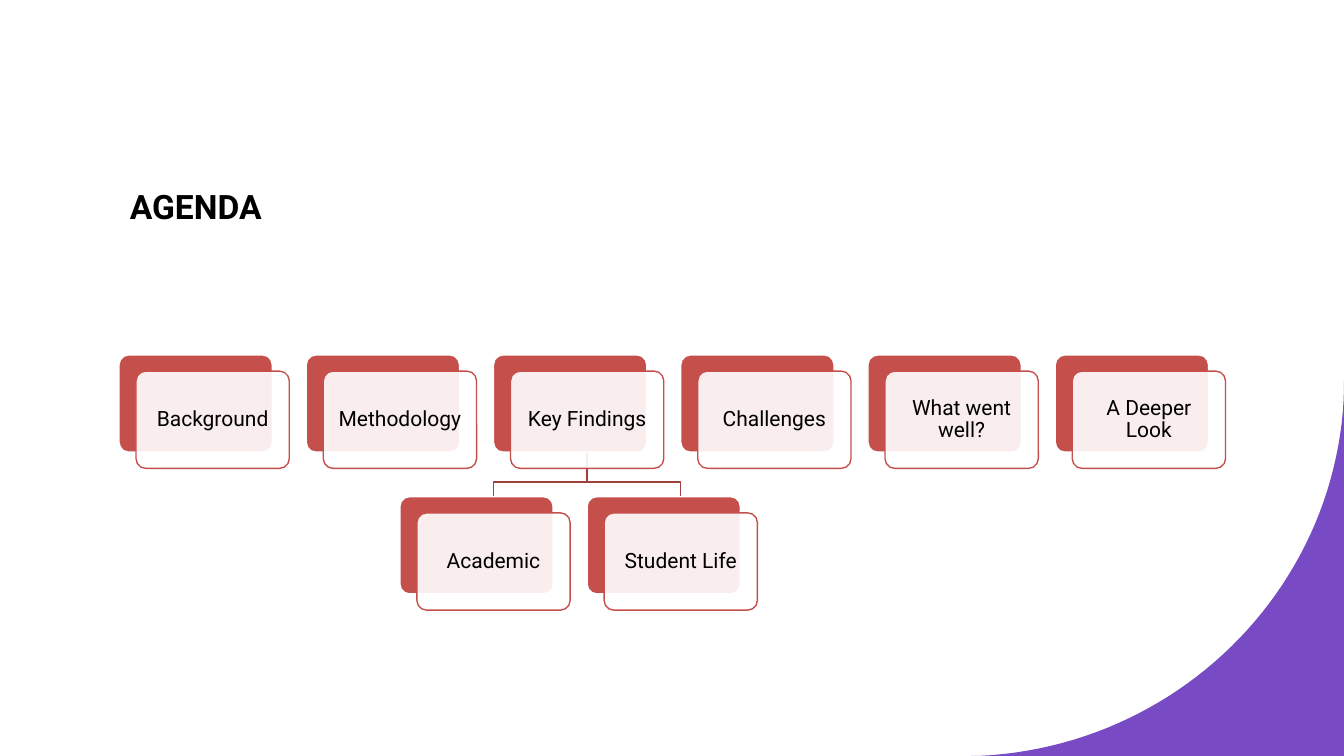
from dataclasses import dataclass

from lxml.etree import SubElement
from pptx import Presentation
from pptx.dml.color import RGBColor
from pptx.enum.shapes import MSO_SHAPE as Shape
from pptx.enum.text import MSO_ANCHOR as Anchor, PP_ALIGN as Align
from pptx.oxml.ns import qn
from pptx.util import Pt

WHITE = RGBColor(0xFF, 0xFF, 0xFF)
BLACK = RGBColor(0x00, 0x00, 0x00)
RED = RGBColor(0xC5, 0x4F, 0x4B)
DARK_RED = RGBColor(0x9E, 0x3F, 0x3C)
PURPLE = RGBColor(0x78, 0x4B, 0xC5)

# Card grid, in points
LEFT, PITCH = 85, 133.75
ROW_TOPS = (253.5, 354.75)
CARD_W, CARD_H = 109.5, 69.5
OFFSET_X, OFFSET_Y = 12.15, 11.6


@dataclass
class Card:
    text: str
    col: float
    row: int = 0

    @property
    def x(self) -> float:
        return LEFT + self.col * PITCH

    @property
    def y(self) -> float:
        return ROW_TOPS[self.row]

    @property
    def center(self) -> float:
        return self.x + CARD_W / 2


TOPICS = [Card(text, col) for col, text in enumerate((
    "Background", "Methodology", "Key Findings",
    "Challenges", "What went well?", "A Deeper Look"))]
FINDINGS = TOPICS[2]
SUBTOPICS = [Card("Academic", FINDINGS.col - 0.5, 1),
             Card("Student Life", FINDINGS.col + 0.5, 1)]


def write(tf, text: str, *, size: float, bold: bool = False,
          align=Align.LEFT, anchor=Anchor.TOP, spacing: float = 1.0) -> None:
    tf.word_wrap = True
    tf.vertical_anchor = anchor
    p = tf.paragraphs[0]
    p.alignment, p.line_spacing = align, spacing
    r = p.add_run()
    r.text = text
    r.font.name, r.font.size, r.font.bold = "Roboto", Pt(size), bold
    r.font.color.rgb = BLACK


def add_outline(s, points: list, closed: bool):
    start, *rest = [(Pt(x), Pt(y)) for x, y in points]
    builder = s.shapes.build_freeform(*start)
    builder.add_line_segments(rest, close=closed)
    sp = builder.convert_to_shape()
    sp.shadow.inherit = False
    return sp


def add_plate(s, x: float, y: float, fill: RGBColor, line: RGBColor):
    sp = s.shapes.add_shape(Shape.ROUNDED_RECTANGLE,
                            Pt(x), Pt(y), Pt(CARD_W), Pt(CARD_H))
    sp.adjustments[0] = 0.1
    sp.shadow.inherit = False
    sp.fill.solid()
    sp.fill.fore_color.rgb = fill
    sp.line.color.rgb = line
    sp.line.width = Pt(1)
    return sp


def add_card(s, card: Card) -> None:
    add_plate(s, card.x, card.y, RED, WHITE)
    front = add_plate(s, card.x + OFFSET_X, card.y + OFFSET_Y, WHITE, RED)
    color = front.fill._xPr.find(qn("a:solidFill"))[0]
    SubElement(color, qn("a:alpha")).set("val", "90000")
    tf = front.text_frame
    tf.margin_left = tf.margin_right = Pt(4.3)
    tf.margin_top = tf.margin_bottom = Pt(4.3)
    write(tf, card.text, size=15, align=Align.CENTER,
          anchor=Anchor.MIDDLE, spacing=0.9)


def add_branch(s, parent: Card, child: Card) -> None:
    bend = child.y - 10.5
    sp = add_outline(s, [(parent.center + OFFSET_X, parent.y + CARD_H),
                         (parent.center + OFFSET_X, bend),
                         (child.center + OFFSET_X, bend),
                         (child.center + OFFSET_X, child.y)], closed=False)
    sp.fill.background()
    sp.line.color.rgb = DARK_RED
    sp.line.width = Pt(1)


def bezier(a, b, c, d, steps: int = 48) -> list:
    return [tuple((1 - t) ** 3 * i + 3 * (1 - t) ** 2 * t * j
                  + 3 * (1 - t) * t ** 2 * k + t ** 3 * m
                  for i, j, k, m in zip(a, b, c, d))
            for t in (n / steps for n in range(steps + 1))]


prs = Presentation()
prs.slide_width, prs.slide_height = Pt(960), Pt(540)
s = prs.slides.add_slide(prs.slide_layouts[5])

# Title
title = s.shapes.title
title.left, title.top, title.width, title.height = Pt(85.5), Pt(126), Pt(207), Pt(249)
write(title.text_frame, "AGENDA", size=24, bold=True, spacing=1.1)

# Purple corner
curve = bezier((699, 540), (840.2, 533.5), (952.6, 422.6), (959.8, 285))
corner = add_outline(s, [(960, 272), (960, 540), (693.4, 540), *curve], closed=True)
corner.fill.solid()
corner.fill.fore_color.rgb = PURPLE
corner.line.fill.background()

# Agenda tree: branches behind, cards in front
for subtopic in SUBTOPICS:
    add_branch(s, FINDINGS, subtopic)
for card in TOPICS + SUBTOPICS:
    add_card(s, card)

prs.save("out.pptx")
